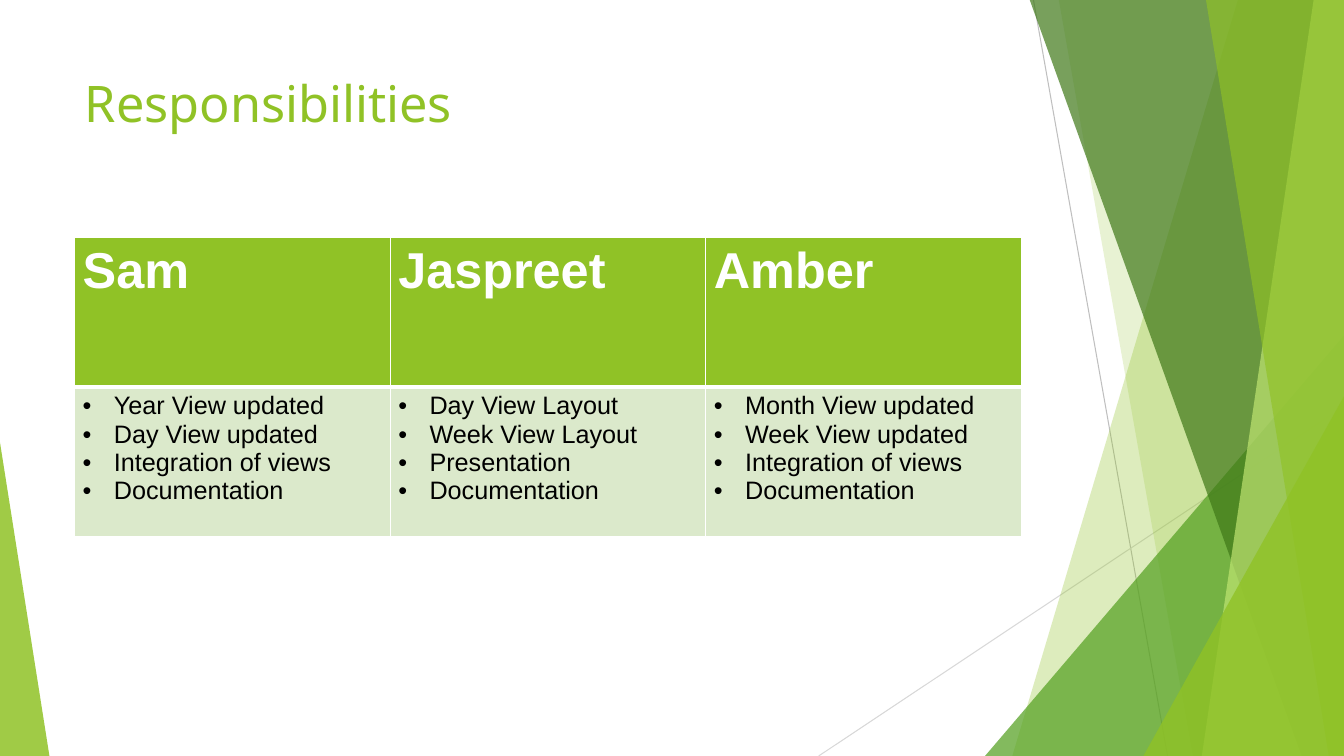
from lxml import etree
from pptx import Presentation
from pptx.dml.color import RGBColor
from pptx.enum.shapes import MSO_CONNECTOR, MSO_SHAPE
from pptx.enum.text import MSO_ANCHOR, PP_ALIGN
from pptx.oxml.ns import qn
from pptx.util import Inches, Pt

STRAIGHT = MSO_CONNECTOR.STRAIGHT
TRIANGLE = MSO_SHAPE.ISOSCELES_TRIANGLE
TOP = MSO_ANCHOR.TOP
LEFT = PP_ALIGN.LEFT

LIME = RGBColor(0x90, 0xC2, 0x26)
GREEN = RGBColor(0x54, 0xA0, 0x21)
FOREST = RGBColor(0x3F, 0x78, 0x18)
PALE_LIME = RGBColor(0xBF, 0xE4, 0x71)
PALE_GREEN = RGBColor(0xDB, 0xE9, 0xCB)
GRAY = RGBColor(0xBF, 0xBF, 0xBF)
LIGHT_GRAY = RGBColor(0xD8, 0xD8, 0xD8)
WHITE = RGBColor(0xFF, 0xFF, 0xFF)
BLACK = RGBColor(0, 0, 0)

GRID_COLUMNS, GRID_ROWS = 13.33, 7.5
BAND_TOP = -0.01
MARGIN = 0.74
TABLE_TOP, TABLE_COLUMN, TABLE_ROW = 2.36, 3.13, 1.48
INDENT = 0.31

DUTIES = {
    "Sam": ["Year View updated", "Day View updated",
            "Integration of views", "Documentation"],
    "Jaspreet": ["Day View Layout", "Week View Layout",
                 "Presentation", "Documentation"],
    "Amber": ["Month View updated", "Week View updated",
              "Integration of views", "Documentation"],
}


def grid(*cells):
    return [Inches(cell) for cell in cells]


def paint(shape, color, opacity):
    shape.shadow.inherit = False
    shape.line.fill.background()
    shape.fill.solid()
    shape.fill.fore_color.rgb = color
    tint = shape.fill._xPr.find(".//" + qn("a:srgbClr"))
    etree.SubElement(tint, qn("a:alpha"), val=str(opacity * 1000))


def add_line(page, start, end, color):
    line = page.shapes.add_connector(STRAIGHT, *grid(*start, *end))
    line.line.color.rgb = color
    line.line.width = Pt(0.75)
    etree.SubElement(line._element.spPr, qn("a:effectLst"))


def add_band(page, top_column, bottom_column, color, opacity):
    corners = [(GRID_COLUMNS, BAND_TOP), (GRID_COLUMNS, GRID_ROWS),
               (bottom_column, GRID_ROWS)]
    builder = page.shapes.build_freeform(*grid(top_column, BAND_TOP))
    builder.add_line_segments([grid(*corner) for corner in corners], close=True)
    paint(builder.convert_to_shape(), color, opacity)


def add_wedge(page, left, right, top, peak, color, opacity):
    wedge = page.shapes.add_shape(
        TRIANGLE, *grid(left, top, right - left, GRID_ROWS - top))
    wedge.adjustments[0] = peak
    paint(wedge, color, opacity)


def add_decoration(page):
    add_line(page, (10.25, 0), (11.58, GRID_ROWS), GRAY)
    add_line(page, (GRID_COLUMNS, 4.03), (8.12, GRID_ROWS), LIGHT_GRAY)
    add_band(page, 12.28, 10.04, LIME, 30)
    add_band(page, 10.5, 11.83, LIME, 20)
    add_wedge(page, 9.77, GRID_COLUMNS, 3.33, 1, GREEN, 72)
    add_band(page, 10.21, 12.91, FOREST, 70)
    add_band(page, 13.03, 11.92, PALE_LIME, 70)
    add_band(page, 11.96, 13.18, LIME, 65)
    add_wedge(page, 11.34, GRID_COLUMNS, 3.93, 1, LIME, 80)
    add_wedge(page, 0, 0.49, 4.39, 0, LIME, 85)


def write(para, text, size, color, font="Arial", bold=False):
    para.alignment = LEFT
    span = para.add_run()
    span.text = text
    span.font.size = Pt(size)
    span.font.name = font
    span.font.bold = bold
    span.font.color.rgb = color


def add_bullet(para):
    properties = para._p.get_or_add_pPr()
    properties.set("marL", str(Inches(INDENT)))
    properties.set("indent", str(-Inches(INDENT)))
    etree.SubElement(properties, qn("a:buFont"), typeface="Arial")
    etree.SubElement(properties, qn("a:buChar"), char="•")


def format_cell(cell, color, top=1, bottom=1):
    cell.margin_left = cell.margin_right = Inches(0.08)
    cell.margin_top = cell.margin_bottom = Inches(0.05)
    cell.vertical_anchor = TOP
    properties = cell._tc.get_or_add_tcPr()
    for side, width in (("L", 1), ("R", 1), ("T", top), ("B", bottom)):
        border = etree.SubElement(properties, qn("a:ln" + side), w=str(Pt(width)))
        fill = etree.SubElement(border, qn("a:solidFill"))
        etree.SubElement(fill, qn("a:srgbClr"), val=str(WHITE))
    cell.fill.solid()
    cell.fill.fore_color.rgb = color


def add_title(page, text):
    title = page.shapes.title
    title.left, title.top, title.width, title.height = grid(MARGIN, 0.67, 9.4, 1.44)
    title.text_frame.vertical_anchor = TOP
    title.text_frame.word_wrap = True
    write(title.text_frame.paragraphs[0], text, 36, LIME, font="Noto Sans")


def add_duties(page, duties):
    table = page.shapes.add_table(
        2, len(duties), *grid(MARGIN, TABLE_TOP, TABLE_COLUMN * len(duties),
                              TABLE_ROW * 2)).table
    for row in table.rows:
        row.height = Inches(TABLE_ROW)
    for index, (name, tasks) in enumerate(duties.items()):
        table.columns[index].width = Inches(TABLE_COLUMN)
        header, body = table.cell(0, index), table.cell(1, index)
        format_cell(header, LIME, bottom=3)
        write(header.text_frame.paragraphs[0], name, 36, WHITE, bold=True)
        format_cell(body, PALE_GREEN, top=3)
        frame = body.text_frame
        for number, task in enumerate(tasks):
            para = frame.add_paragraph() if number else frame.paragraphs[0]
            write(para, task, 18, BLACK)
            add_bullet(para)


def main():
    deck = Presentation()
    deck.slide_width, deck.slide_height = grid(GRID_COLUMNS, GRID_ROWS)
    page = deck.slides.add_slide(deck.slide_layouts[5])
    add_decoration(page)
    add_title(page, "Responsibilities")
    add_duties(page, DUTIES)
    deck.save("out.pptx")


main()
